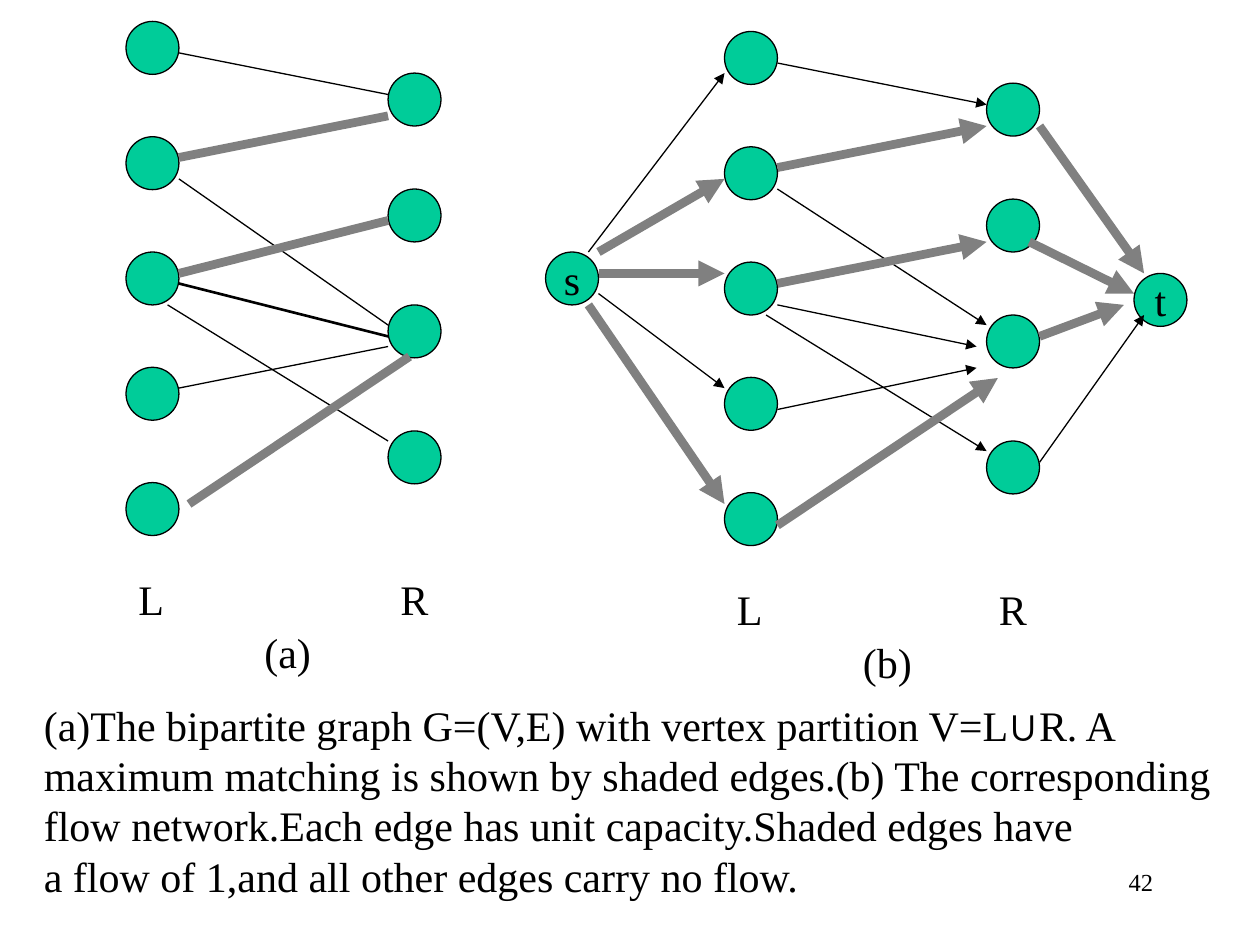
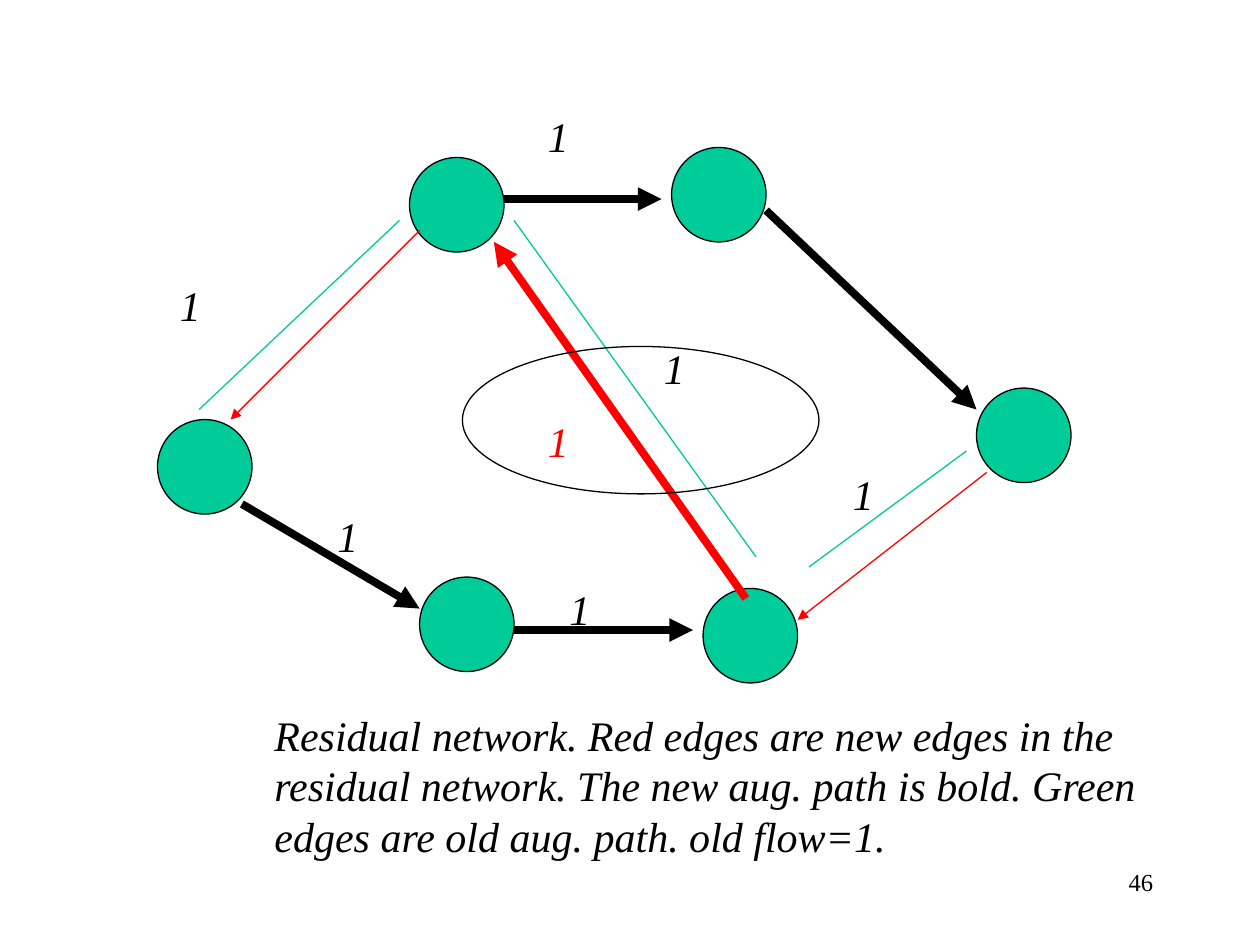
from pptx import Presentation
from pptx.dml.color import RGBColor
from pptx.enum.shapes import MSO_CONNECTOR as Connector, MSO_SHAPE as Shape
from pptx.enum.text import MSO_ANCHOR as Anchor, PP_ALIGN as Align
from pptx.oxml.ns import qn
from pptx.util import Inches, Pt
from lxml.etree import SubElement

COLORS = {"green": "00CC99", "black": "000000", "gray": "808080", "red": "FF0000"}
FONT = "Times New Roman"
THIN, MEDIUM, BOLD, SHADED = 0.75, 1.5, 4.5, 5


def add_text(slide, text, left, top, width, height=0.5, size=24, color="black", italic=False):
    box = slide.shapes.add_textbox(Inches(left), Inches(top), Inches(width), Inches(height))
    box.text_frame.word_wrap = True
    box.text_frame.text = text
    for paragraph in box.text_frame.paragraphs:
        paragraph.font.name = FONT
        paragraph.font.size = Pt(size)
        paragraph.font.italic = italic
        paragraph.font.color.rgb = RGBColor.from_string(COLORS[color])
    return box.text_frame


def add_edge(slide, start, end, color, width, arrow):
    points = [Inches(value) for value in (*start, *end)]
    edge = slide.shapes.add_connector(Connector.STRAIGHT, *points)
    edge.line.color.rgb = RGBColor.from_string(COLORS[color])
    edge.line.width = Pt(width)
    if arrow:
        SubElement(edge.line._get_or_add_ln(), qn("a:tailEnd"), type="triangle")
    SubElement(edge._element.spPr, qn("a:effectLst"))


presentation = Presentation()
presentation.slide_width = Inches(10)
presentation.slide_height = Inches(7.5)
blank_layout = presentation.slide_layouts[6]
matching_slide = presentation.slides.add_slide(blank_layout)
residual_slide = presentation.slides.add_slide(blank_layout)

for slide, number in ((matching_slide, "42"), (residual_slide, "46")):
    page_number = add_text(slide, number, 7.17, 6.83, 2.08, size=14)
    page_number.paragraphs[0].alignment = Align.RIGHT

vertices = [
    (matching_slide, 4.33, 2, 0.42, "s"),
    (matching_slide, 9, 2.17, 0.42, "t"),
]
for left, top, name in ((1, 0.17, "(a)"), (5.75, 0.25, "(b)")):
    right = left + 2.08
    for row in range(5):
        vertices.append((matching_slide, left, top + row * 0.915, 0.42, ""))
    for offset in (0.41, 1.33, 2.25, 3.25):
        vertices.append((matching_slide, right, top + offset, 0.42, ""))
    add_text(matching_slide, "L", left, top + 4.33, 0.42)
    add_text(matching_slide, "R", right, top + 4.33, 0.42)
    add_text(matching_slide, name, left + 1, top + 4.75, 0.7)

for left, top in ((1.25, 3.33), (3.33, 4.58), (3.25, 1.25), (7.75, 3.08), (5.58, 4.67), (5.33, 1.17)):
    vertices.append((residual_slide, left, top, 0.75, ""))

for slide, left, top, size, label in vertices:
    vertex = slide.shapes.add_shape(Shape.OVAL, Inches(left), Inches(top), Inches(size), Inches(size))
    vertex.shadow.inherit = False
    vertex.fill.solid()
    vertex.fill.fore_color.rgb = RGBColor.from_string(COLORS["green"])
    vertex.line.color.rgb = RGBColor.from_string(COLORS["black"])
    vertex.line.width = Pt(THIN)
    if label:
        vertex.text_frame.text = label
        vertex.text_frame.word_wrap = False
        vertex.text_frame.vertical_anchor = Anchor.MIDDLE
        paragraph = vertex.text_frame.paragraphs[0]
        paragraph.alignment = Align.CENTER
        paragraph.font.name = FONT
        paragraph.font.size = Pt(24)
        paragraph.font.color.rgb = RGBColor.from_string(COLORS["black"])

bipartite_edges = [
    ((1.42, 0.42), (3.08, 0.75), "black", THIN),
    ((1.42, 1.25), (3.08, 0.92), "gray", SHADED),
    ((1.42, 1.42), (3.08, 2.58), "black", THIN),
    ((1.42, 2.17), (3.08, 1.75), "gray", SHADED),
    ((1.42, 2.25), (3.08, 2.67), "black", MEDIUM),
    ((1.33, 2.42), (3.08, 3.5), "black", THIN),
    ((1.42, 3.08), (3.08, 2.75), "black", THIN),
    ((1.5, 4), (3.25, 2.83), "gray", SHADED),
]
flow_edges = [
    ((6.17, 0.5), (7.83, 0.83), "black", THIN),
    ((6.17, 1.33), (7.83, 1), "gray", SHADED),
    ((6.17, 1.5), (7.83, 2.58), "black", THIN),
    ((6.17, 2.25), (7.83, 1.92), "gray", SHADED),
    ((6.17, 2.42), (7.75, 2.75), "black", THIN),
    ((6.08, 2.5), (7.83, 3.58), "black", THIN),
    ((6.17, 3.25), (7.75, 2.92), "black", THIN),
    ((6.17, 4.17), (7.92, 3), "gray", SHADED),
    ((4.67, 2), (5.75, 0.58), "black", THIN),
    ((4.75, 2), (5.75, 1.42), "gray", SHADED),
    ((4.75, 2.17), (5.75, 2.17), "gray", SHADED),
    ((4.75, 2.33), (5.75, 3.08), "black", THIN),
    ((4.67, 2.42), (5.75, 4), "gray", SHADED),
    ((8.25, 1), (9.08, 2.17), "gray", SHADED),
    ((8.17, 1.92), (9, 2.33), "gray", SHADED),
    ((8.25, 2.67), (8.92, 2.42), "gray", SHADED),
    ((8.25, 3.67), (9.08, 2.5), "black", THIN),
]
residual_edges = [
    ((1.92, 4), (3.33, 4.83), "black", BOLD),
    ((4, 1.58), (5.25, 1.58), "black", BOLD),
    ((4.08, 5), (5.5, 5), "black", BOLD),
    ((6.08, 1.67), (7.75, 3.25), "black", BOLD),
    ((3.33, 1.83), (1.83, 3.33), "red", THIN),
    ((5.92, 4.75), (3.92, 1.92), "red", BOLD),
    ((7.83, 3.75), (6.33, 4.92), "red", THIN),
]
old_path_edges = [
    ((1.58, 3.25), (3.17, 1.75), "green", THIN),
    ((4.08, 1.75), (6, 4.42), "green", THIN),
    ((6.42, 4.5), (7.67, 3.58), "green", THIN),
]
for slide, edges, arrow in (
    (matching_slide, bipartite_edges, False),
    (matching_slide, flow_edges, True),
    (residual_slide, residual_edges, True),
    (residual_slide, old_path_edges, False),
):
    for start, end, color, width in edges:
        add_edge(slide, start, end, color, width, arrow)

caption_lines = [
    "(a)The bipartite graph G=(V,E) with vertex partition V=L",
    "maximum matching is shown by shaded edges.(b) The corresponding",
    "flow network.Each edge has unit capacity.Shaded edges have",
    "a flow of 1,and all other edges carry no flow.",
]
caption = add_text(matching_slide, "\n".join(caption_lines), 0.25, 5.5, 9.6, 1.7)
union_run = caption.paragraphs[0].add_run()
union_run.text = "∪"
union_run.font.name = "Arial"
caption.paragraphs[0].add_run().text = "R. A"

add_text(
    residual_slide,
    "Residual network. Red edges are new edges in the residual network. "
    "The new aug. path is bold. Green edges are old aug. path. old flow=1.",
    2.08, 5.58, 7.33, 1.3, italic=True,
)
for left, top, color in (
    (1.33, 2.17, "black"),
    (5.17, 2.67, "black"),
    (6.67, 3.67, "black"),
    (2.58, 4, "black"),
    (4.42, 4.58, "black"),
    (4.25, 3.25, "red"),
    (4.25, 0.83, "black"),
):
    add_text(residual_slide, "1", left, top, 0.58, color=color, italic=True)

highlight = residual_slide.shapes.add_shape(Shape.OVAL, Inches(3.67), Inches(2.75), Inches(2.83), Inches(1.17))
highlight.shadow.inherit = False
highlight.fill.background()
highlight.line.color.rgb = RGBColor.from_string(COLORS["black"])
highlight.line.width = Pt(THIN)

presentation.save("out.pptx")
